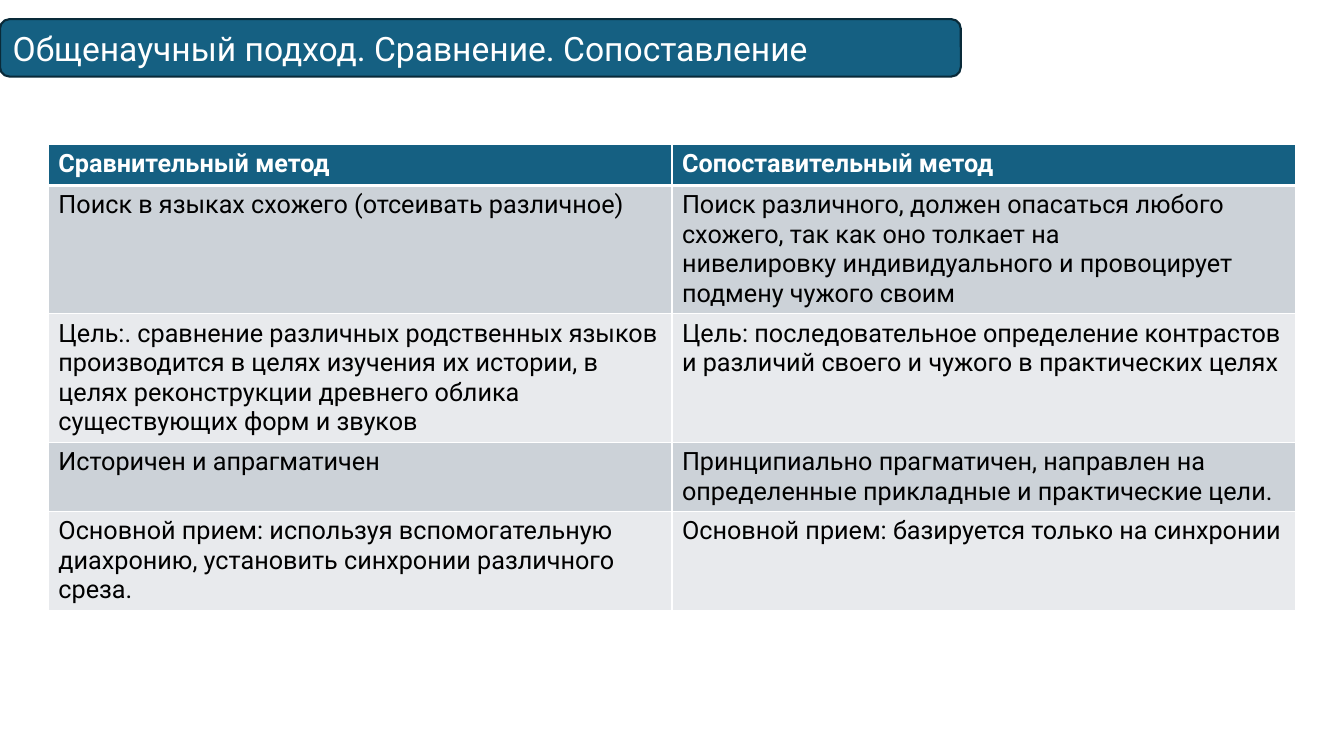
from lxml import etree
from pptx import Presentation
from pptx import util as u
from pptx.dml.color import RGBColor
from pptx.enum import shapes, text
from pptx.oxml import ns

TEAL = RGBColor(0x15, 0x60, 0x82)
NAVY = RGBColor(0x09, 0x2A, 0x39)
WHITE = RGBColor(0xFF, 0xFF, 0xFF)
BLACK = RGBColor(0, 0, 0)
GREY = RGBColor(0xCC, 0xD2, 0xD8)
PALE = RGBColor(0xE8, 0xEA, 0xED)
FONT = "Roboto"

ROWS = [
    ("Сравнительный метод", "Сопоставительный метод"),
    ("Поиск в языках схожего (отсеивать различное)",
     "Поиск различного, должен опасаться любого схожего, так как оно толкает на\n"
     "нивелировку индивидуального и провоцирует подмену чужого своим"),
    ("Цель:. сравнение различных родственных языков производится в целях изучения "
     "их истории, в целях реконструкции древнего облика существующих форм и звуков",
     "Цель: последовательное определение контрастов и различий своего и чужого "
     "в практических целях"),
    ("Историчен и апрагматичен",
     "Принципиально прагматичен, направлен на определенные прикладные и практические цели."),
    ("Основной прием: используя вспомогательную диахронию, установить синхронии "
     "различного среза.",
     "Основной прием: базируется только на синхронии"),
]


def set_font(p, size, color, bold=False):
    p.font.name = FONT
    p.font.size = u.Pt(size)
    p.font.bold = bold
    p.font.color.rgb = color


def add_border(cell, side, width):
    ln = etree.SubElement(cell._tc.get_or_add_tcPr(), ns.qn("a:ln" + side), w=str(u.Pt(width)))
    fill = etree.SubElement(ln, ns.qn("a:solidFill"))
    etree.SubElement(fill, ns.qn("a:srgbClr"), val=str(WHITE))


prs = Presentation()
prs.slide_width, prs.slide_height = u.Inches(13.33), u.Inches(7.5)
s = prs.slides.add_slide(prs.slide_layouts[6])

sp = s.shapes.add_shape(shapes.MSO_SHAPE.ROUNDED_RECTANGLE,
                        0, u.Inches(0.19), u.Inches(9.53), u.Inches(0.57))
sp.shadow.inherit = False
sp.fill.solid()
sp.fill.fore_color.rgb = TEAL
sp.line.color.rgb = NAVY
sp.line.width = u.Pt(1.5)
tf = sp.text_frame
tf.word_wrap = True
tf.vertical_anchor = text.MSO_ANCHOR.MIDDLE
p = tf.paragraphs[0]
p.text = "Общенаучный подход. Сравнение. Сопоставление"
p.alignment = text.PP_ALIGN.LEFT
set_font(p, 24, WHITE)

height = u.Inches(4.71)
frame = s.shapes.add_table(len(ROWS), 2, u.Inches(0.48), u.Inches(1.43), u.Inches(12.37), height)
table = frame.table
for i, row in enumerate(ROWS):
    table.rows[i].height = u.Inches(0.41)
    for j, words in enumerate(row):
        cell = table.cell(i, j)
        cell.text = words
        for p in cell.text_frame.paragraphs:
            set_font(p, 18, BLACK if i else WHITE, i == 0)
        for side in "LRTB":
            add_border(cell, side, 3 if (i, side) in ((0, "B"), (1, "T")) else 1)
        cell.fill.solid()
        cell.fill.fore_color.rgb = TEAL if i == 0 else GREY if i % 2 else PALE
frame.height = height

prs.save("out.pptx")
